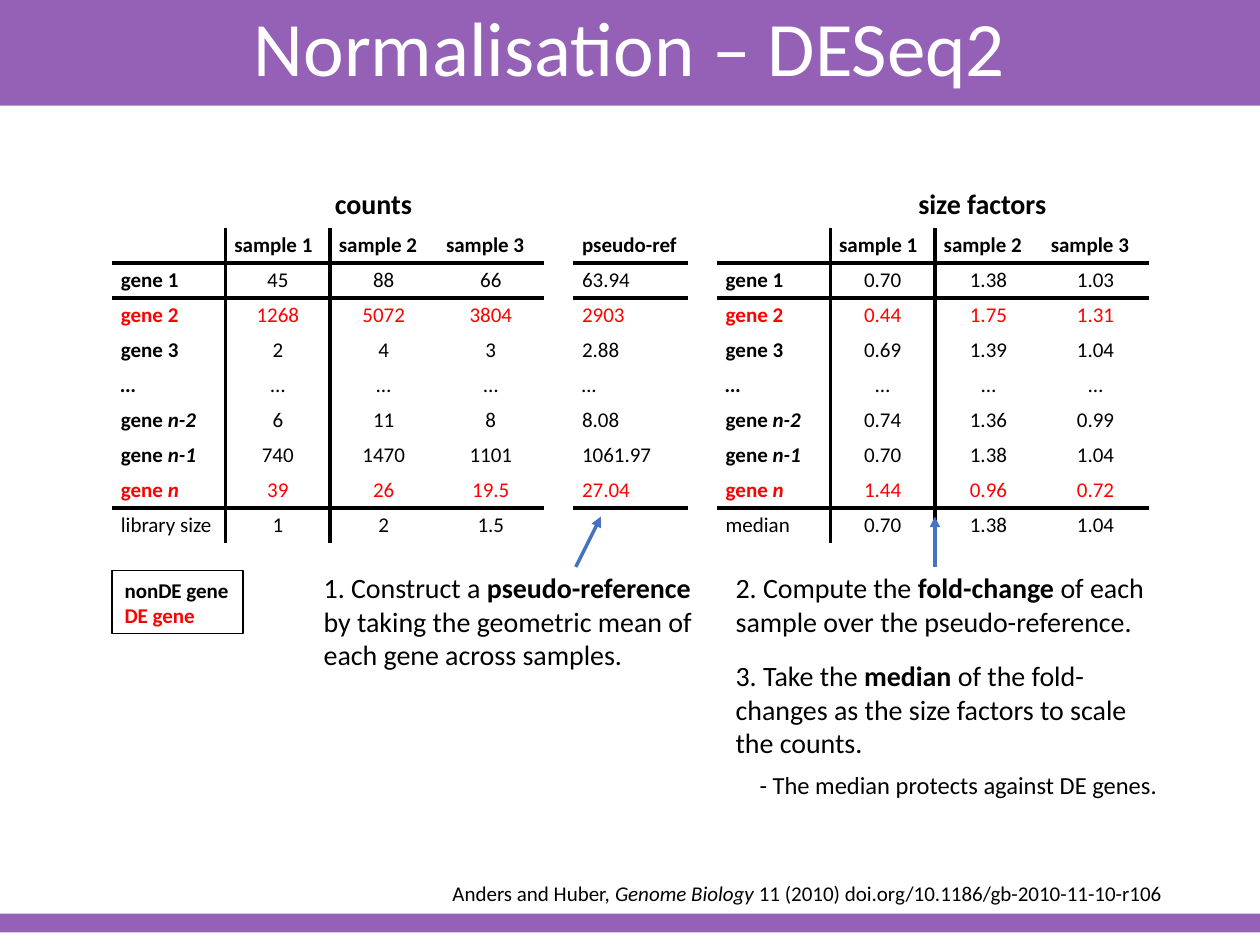
from lxml import etree
from pptx import Presentation
from pptx import util as u
from pptx.dml.color import RGBColor
from pptx.enum import shapes, text
from pptx.oxml.ns import qn

Inches, Pt = u.Inches, u.Pt
FONT = "Calibri"
BLACK, RED, WHITE, PURPLE, BLUE = "000000", "FF0000", "FFFFFF", "9461B6", "4472C4"
NO_STYLE = "{2D5ABB26-0587-4C30-8999-92F81FD0307C}"
LEFT, CENTER, RIGHT = text.PP_ALIGN.LEFT, text.PP_ALIGN.CENTER, text.PP_ALIGN.RIGHT

TABLE_TOP, TABLE_HEIGHT = 1.81, 2.5
SAMPLE_COLS = [0.9, 0.83, 0.85, 0.85]
HEADER = ["", "sample 1", "sample 2", "sample 3"]
# Row labels as (text, style) runs: b is bold, i is italic
GENES = [
    [("gene 1", "b")], [("gene 2", "b")], [("gene 3", "b")], [("…", "bi")],
    [("gene ", "b"), ("n-2", "bi")], [("gene ", "b"), ("n-1", "bi")],
    [("gene ", "b"), ("n", "bi")],
]
DE_ROWS = (2, 7)
RULED_ROWS = (0, 7)  # rows with a rule below
COUNTS = ["45 88 66", "1268 5072 3804", "2 4 3", "… … …", "6 11 8",
          "740 1470 1101", "39 26 19.5", "1 2 1.5"]
FACTORS = ["0.70 1.38 1.03", "0.44 1.75 1.31", "0.69 1.39 1.04", "… … …",
           "0.74 1.36 0.99", "0.70 1.38 1.04", "1.44 0.96 0.72", "0.70 1.38 1.04"]
PSEUDO = ["63.94", "2903", "2.88", "…", "8.08", "1061.97", "27.04"]


def color(value):
    return RGBColor.from_string(value)


def write(p, runs, size, ink=BLACK, align=LEFT):
    p.alignment = align
    for words, style in runs:
        r = p.add_run()
        r.text = words
        f = r.font
        f.name, f.size = FONT, Pt(size)
        f.bold, f.italic = "b" in style, "i" in style
        f.color.rgb = color(ink)


def add_text(s, box, runs, size, ink=BLACK, align=LEFT, wrap=True):
    tf = s.shapes.add_textbox(*map(Inches, box)).text_frame
    tf.word_wrap = wrap
    write(tf.paragraphs[0], runs, size, ink, align)
    return tf


def add_bar(s, box):
    sp = s.shapes.add_shape(shapes.MSO_SHAPE.RECTANGLE, *map(Inches, box))
    sp.shadow.inherit = False
    sp.fill.solid()
    sp.fill.fore_color.rgb = color(PURPLE)
    sp.line.fill.background()


def add_border(cell, side):
    ln = etree.SubElement(cell._tc.get_or_add_tcPr(), qn("a:ln" + side), w=str(Pt(2.25)))
    fill = etree.SubElement(ln, qn("a:solidFill"))
    etree.SubElement(fill, qn("a:srgbClr"), val=BLACK)


def add_grid(s, left, widths, rows):
    """Place a table; rows hold lists of (runs, alignment)."""
    frame = s.shapes.add_table(len(rows), len(widths), Inches(left), Inches(TABLE_TOP),
                               Inches(sum(widths)), Inches(TABLE_HEIGHT))
    table = frame.table
    table.first_row = table.horz_banding = False
    table._tbl.tblPr.find(qn("a:tableStyleId")).text = NO_STYLE
    for col, width in zip(table.columns, widths):
        col.width = Inches(width)
    for i, row in enumerate(rows):
        table.rows[i].height = Inches(TABLE_HEIGHT / len(rows))
        for j, (runs, align) in enumerate(row):
            cell = table.cell(i, j)
            cell.margin_left = cell.margin_right = Inches(0.07)
            cell.margin_top = cell.margin_bottom = Inches(0.07 / 2)
            sides = [("L", j == 1), ("R", j == 0 and len(widths) > 1),
                     ("T", i - 1 in RULED_ROWS), ("B", i in RULED_ROWS)]
            for side, ruled in sides:
                if ruled:
                    add_border(cell, side)
            cell.fill.background()
            p = cell.text_frame.paragraphs[0]
            if runs:
                write(p, runs, 12, RED if i in DE_ROWS else BLACK, align)
            else:
                etree.SubElement(p._p, qn("a:endParaRPr"), sz="1200")


def add_sample_table(s, left, values, last_label):
    rows = [[([(h, "b")] if h else [], LEFT) for h in HEADER]]
    for label, line in zip(GENES + [[(last_label, "")]], values):
        rows.append([(label, LEFT)] + [([(v, "")], CENTER) for v in line.split()])
    add_grid(s, left, SAMPLE_COLS, rows)


def add_pseudo_table(s, left):
    rows = [[([("pseudo-ref", "b")], LEFT)]]
    rows += [[([(v, "i" if v == "…" else "")], LEFT)] for v in PSEUDO]
    add_grid(s, left, [0.91], rows + [[([], LEFT)]])


def add_arrow(s, *ends):
    line = s.shapes.add_connector(shapes.MSO_CONNECTOR.STRAIGHT, *map(Inches, ends))
    line.line.color.rgb = color(BLUE)
    line.line.width = Pt(2)
    etree.SubElement(line.line._get_or_add_ln(), qn("a:tailEnd"), type="triangle")
    etree.SubElement(line._element.spPr, qn("a:effectLst"))


def add_legend(s, box):
    sp = s.shapes.add_shape(shapes.MSO_SHAPE.RECTANGLE, *map(Inches, box))
    sp.shadow.inherit = False
    sp.fill.background()
    sp.line.color.rgb = color(BLACK)
    sp.line.width = Pt(0.75)
    tf = sp.text_frame
    tf.word_wrap = False
    write(tf.paragraphs[0], [("nonDE gene", "b")], 12)
    write(tf.add_paragraph(), [("DE gene", "b")], 12, RED)


def add_steps(s):
    add_text(s, (2.47, 4.48, 3.25, 0.91), [
        ("1. Construct a ", ""), ("pseudo-reference ", "b"),
        ("by taking the geometric mean of each gene across samples.", "")], 16)
    tf = add_text(s, (5.74, 4.48, 3.57, 1.94), [
        ("2. Compute the ", ""), ("fold-change ", "b"),
        ("of each sample over the pseudo-reference.", "")], 16)
    p = tf.add_paragraph()
    p.space_before = Pt(6)
    write(p, [("3. Take the ", ""), ("median", "b"),
              (" of the fold-changes as the size factors to scale the counts.", "")], 16)
    p = tf.add_paragraph()
    write(p, [("- The median protects against DE genes.", "")], 14)
    p._p.get_or_add_pPr().set("marL", str(Inches(0.19)))
    for p in tf.paragraphs:
        p.space_after = Pt(6)


def add_title(s):
    add_bar(s, (0, -0.02, 10, 0.86))
    tf = add_text(s, (0.69, -0.02, 8.62, 0.86), [("Normalisation – DESeq2", "")],
                  44, WHITE, CENTER)
    tf.vertical_anchor = text.MSO_ANCHOR.MIDDLE
    tf.paragraphs[0].line_spacing = 0.9


def main():
    prs = Presentation()
    prs.slide_width, prs.slide_height = Inches(10), Inches(7.5)
    s = prs.slides.add_slide(prs.slide_layouts[6])

    # Tables and their headings
    add_sample_table(s, 0.89, COUNTS, "library size")
    add_pseudo_table(s, 4.55)
    add_sample_table(s, 5.69, FACTORS, "median")
    add_text(s, (2.56, 1.43, 0.82, 0.37), [("counts", "b")], 16, wrap=False)
    add_text(s, (7.19, 1.43, 1.23, 0.37), [("size factors", "b")], 16, wrap=False)

    # Explanation
    add_steps(s)
    add_arrow(s, 4.57, 4.5, 4.77, 4.1)
    add_arrow(s, 7.42, 4.5, 7.42, 4.1)
    add_legend(s, (0.89, 4.53, 1.04, 0.5))

    # Citation, title and footer bar
    add_text(s, (2.45, 6.94, 6.87, 0.3), [
        ("Anders and Huber, ", ""), ("Genome Biology ", "i"),
        ("11 (2010) doi.org/10.1186/gb-2010-11-10-r106", "")], 12, align=RIGHT)
    add_title(s)
    add_bar(s, (0, 7.25, 10, 0.15))
    prs.save("out.pptx")


if __name__ == "__main__":
    main()
